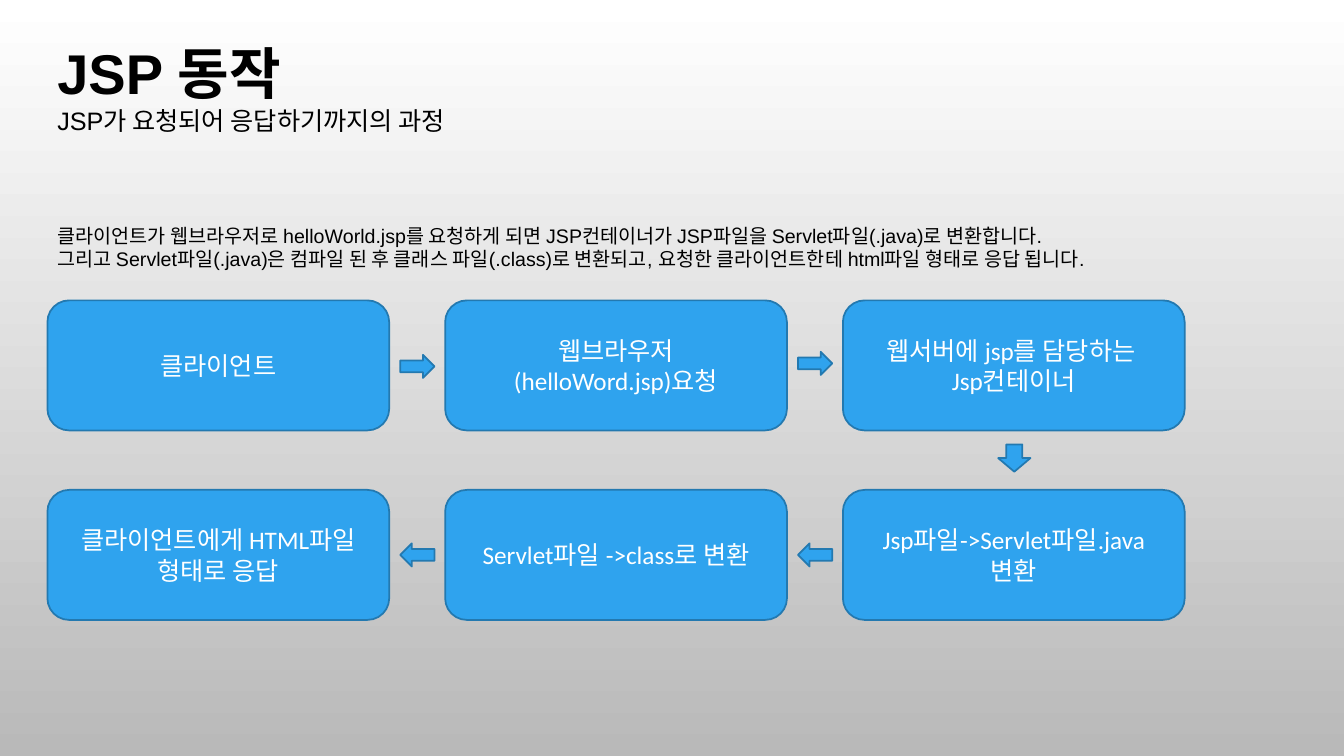
from pptx import Presentation
from pptx.dml.color import RGBColor
from pptx.enum.shapes import MSO_SHAPE
from pptx.enum.text import MSO_ANCHOR, PP_ALIGN
from pptx.util import Inches, Pt

HUES = {"ink": "000000", "white": "FFFFFF", "gray": "B9B9B9",
        "blue": "2FA3EE", "edge": "2379B0"}


def write(frame, text, size=18, font="Arial", hue="ink", bold=False, align=PP_ALIGN.LEFT):
    frame.word_wrap = True
    for line in text.split("\n"):
        para = frame.add_paragraph() if frame.text else frame.paragraphs[0]
        para.alignment = align
        run = para.add_run()
        run.text = line
        run.font.size = Pt(size)
        run.font.name = font
        run.font.bold = bold
        run.font.color.rgb = RGBColor.from_string(HUES[hue])


def block(kind, left, top, width, height):
    shape = slide.shapes.add_shape(
        kind, Inches(left), Inches(top), Inches(width), Inches(height))
    shape.shadow.inherit = False
    shape.fill.solid()
    shape.fill.fore_color.rgb = RGBColor.from_string(HUES["blue"])
    shape.line.color.rgb = RGBColor.from_string(HUES["edge"])
    shape.line.width = Pt(1.25)
    return shape


deck = Presentation()
deck.slide_width = Inches(13.33)
deck.slide_height = Inches(7.5)
slide = deck.slides.add_slide(deck.slide_layouts[6])

back = slide.background.fill
back.gradient()
back.gradient_angle = 270
for stop, hue, place in zip(back.gradient_stops, ("white", "gray"), (0, 1)):
    stop.color.rgb = RGBColor.from_string(HUES[hue])
    stop.position = place

EDGE, TOP = 0.47, 2.98
WIDE, HIGH = 3.39, 1.29
COL, ROW = 3.945, 1.88

head = slide.shapes.add_textbox(
    Inches(EDGE), Inches(0.33), Inches(12.05), Inches(1.08)).text_frame
write(head, "JSP 동작", size=40, bold=True)
write(head, "JSP가 요청되어 응답하기까지의 과정")

intro = slide.shapes.add_textbox(
    Inches(EDGE), Inches(2.17), Inches(11.68), Inches(0.57)).text_frame
write(intro, "클라이언트가 웹브라우저로 helloWorld.jsp를 요청하게 되면 JSP컨테이너가 "
      "JSP파일을 Servlet파일(.java)로 변환합니다.\n"
      "그리고 Servlet파일(.java)은 컴파일 된 후 클래스 파일(.class)로 변환되고, "
      "요청한 클라이언트한테 html파일 형태로 응답 됩니다.", size=14)

steps = [
    (0, 0, "클라이언트"),
    (1, 0, "웹브라우저\n(helloWord.jsp)요청"),
    (2, 0, "웹서버에 jsp를 담당하는 \nJsp컨테이너"),
    (2, 1, "Jsp파일->Servlet파일.java 변환"),
    (1, 1, "Servlet파일 ->class로 변환"),
    (0, 1, "클라이언트에게 HTML파일 형태로 응답"),
]
for col, row, text in steps:
    box = block(MSO_SHAPE.ROUNDED_RECTANGLE,
                EDGE + col * COL, TOP + row * ROW, WIDE, HIGH)
    box.text_frame.vertical_anchor = MSO_ANCHOR.MIDDLE
    write(box.text_frame, text, font="Calibri", hue="white", align=PP_ALIGN.CENTER)

for col, top, turn in [(0, 3.52, 0), (1, 3.49, 0), (0, 5.39, 180), (1, 5.39, 180)]:
    arrow = block(MSO_SHAPE.RIGHT_ARROW, 3.97 + col * COL, top, 0.34, 0.23)
    arrow.rotation = turn
block(MSO_SHAPE.DOWN_ARROW, 9.9, 4.41, 0.32, 0.27)

deck.save("out.pptx")
